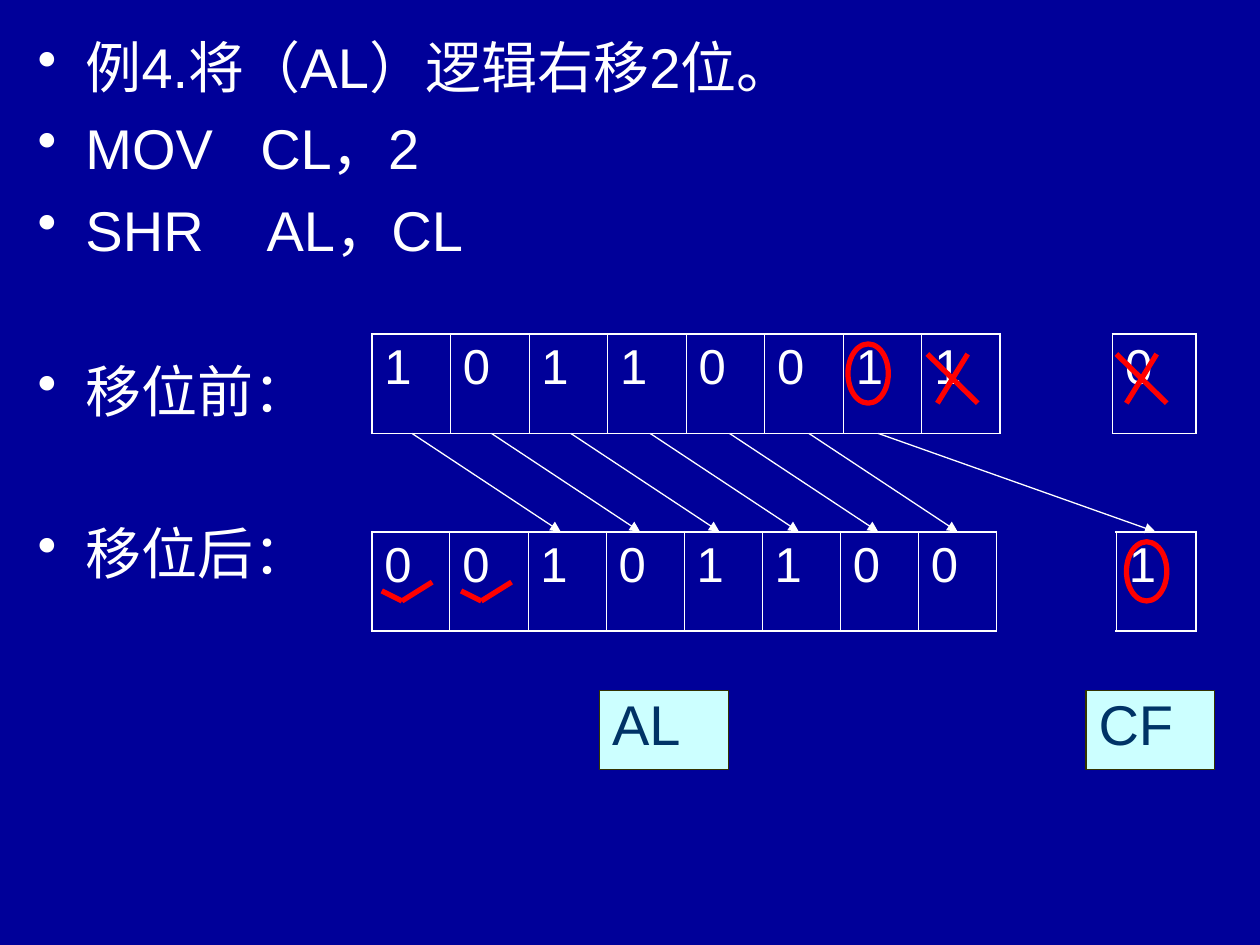
from pptx import Presentation
from pptx.dml.color import RGBColor
from pptx.enum.shapes import MSO_CONNECTOR as Connector, MSO_SHAPE as Shape
from pptx.enum.text import MSO_ANCHOR as Anchor, PP_ALIGN as Align
from pptx.oxml.ns import qn
from pptx.util import Inches, Pt
from lxml.etree import SubElement, Element

NAVY = RGBColor(0x00, 0x00, 0x99)
WHITE = RGBColor(0xFF, 0xFF, 0xFF)
RED = RGBColor(0xFF, 0x00, 0x00)
PALE_CYAN = RGBColor(0xCC, 0xFF, 0xFF)
OLIVE = RGBColor(0x33, 0x33, 0x00)
DARK_BLUE = RGBColor(0x00, 0x33, 0x66)

REGISTER_LEFT = 2.95
BEFORE_TOP, AFTER_TOP = 2.65, 4.22
REGISTER_HEIGHT = 0.79
BIT_STEP = 0.63
THICK, THIN = 1.08, 0.45


def write(paragraph, text, size=32, color=WHITE, before=0, line=None, gap=None):
    paragraph.alignment = Align.LEFT
    paragraph.space_before = Pt(before)
    if line:
        paragraph.line_spacing = line
    run = paragraph.add_run()
    run.text = text
    run.font.name = "Arial"
    run.font.size = Pt(size)
    run.font.color.rgb = color
    if gap:
        run.font._element.set("spc", str(gap * 100))


def add_bullet(paragraph):
    properties = paragraph._p.get_or_add_pPr()
    properties.set("marL", str(Inches(0.38)))
    properties.set("indent", str(Inches(-0.38)))
    SubElement(properties, qn("a:buChar"), char="•")


def add_example(slide):
    frame = slide.shapes.add_textbox(
        Inches(0.2), Inches(0.21), Inches(9.61), Inches(7.09)).text_frame
    frame.word_wrap = True
    lines = [
        (8, [("例4.将（AL）逻辑右移2位。", None)]),
        (8, [("MOV", None), (" ", 18), ("CL，2", None)]),
        (8, [("SHR", None), (" ", 27), ("AL，CL", None)]),
        (54, [("移位前：", None)]),
        (54, [("移位后：", None)]),
    ]
    for index, (before, pieces) in enumerate(lines):
        paragraph = frame.paragraphs[0] if index == 0 else frame.add_paragraph()
        for text, gap in pieces:
            write(paragraph, text, before=before, gap=gap)
        add_bullet(paragraph)


def set_borders(cell, widths):
    properties = cell._tc.get_or_add_tcPr()
    for position, (side, width) in enumerate(widths.items()):
        border = Element(qn(f"a:ln{side}"), w=str(Pt(width)))
        paint = SubElement(border, qn("a:solidFill"))
        SubElement(paint, qn("a:srgbClr"), val=str(WHITE))
        properties.insert(position, border)


def add_register(slide, bits, left, top, width):
    last = len(bits) - 1
    table = slide.shapes.add_table(
        1, len(bits), Inches(left), Inches(top),
        Inches(width), Inches(REGISTER_HEIGHT)).table
    table.first_row = False
    table.horz_banding = False
    for index, bit in enumerate(bits):
        cell = table.cell(0, index)
        cell.fill.background()
        write(cell.text_frame.paragraphs[0], bit, size=28, before=7)
        set_borders(cell, {
            "L": THICK if index == 0 else THIN,
            "R": THICK if index == last else THIN,
            "T": THICK,
            "B": THICK,
        })


def add_label(slide, name, left):
    label = slide.shapes.add_shape(
        Shape.RECTANGLE, Inches(left), Inches(5.48), Inches(1.02), Inches(0.63))
    label.shadow.inherit = False
    label.fill.solid()
    label.fill.fore_color.rgb = PALE_CYAN
    label.line.color.rgb = OLIVE
    label.line.width = Pt(0.75)
    label.text_frame.word_wrap = True
    label.text_frame.vertical_anchor = Anchor.TOP
    write(label.text_frame.paragraphs[0], name, color=DARK_BLUE, line=0.9)


def add_line(slide, start, end, color=RED, width=3, arrow=False):
    line = slide.shapes.add_connector(
        Connector.STRAIGHT, *(Inches(value) for value in (*start, *end)))
    line.line.color.rgb = color
    line.line.width = Pt(width)
    if arrow:
        SubElement(line.line._get_or_add_ln(), qn("a:tailEnd"), type="triangle")
    SubElement(line._element.spPr, qn("a:effectLst"))


def add_shift_arrow(slide, start_x, end_x):
    add_line(slide, (start_x, BEFORE_TOP + REGISTER_HEIGHT), (end_x, AFTER_TOP),
             color=WHITE, width=0.75, arrow=True)


def add_cross(slide, left):
    top, bottom = 2.81, 3.2
    add_line(slide, (left, top), (left + 0.4, bottom))
    add_line(slide, (left + 0.32, top), (left + 0.08, bottom))


def add_tick(slide, left):
    corner = (left + 0.16, 4.77)
    add_line(slide, (left, 4.69), corner)
    add_line(slide, corner, (left + 0.4, 4.62))


def add_ring(slide, left, top):
    ring = slide.shapes.add_shape(
        Shape.OVAL, Inches(left), Inches(top), Inches(0.32), Inches(0.47))
    ring.shadow.inherit = False
    ring.fill.background()
    ring.line.color.rgb = RED
    ring.line.width = Pt(3)


def main():
    deck = Presentation()
    deck.slide_width, deck.slide_height = Inches(10), Inches(7.5)
    slide = deck.slides.add_slide(deck.slide_layouts[6])
    slide.background.fill.solid()
    slide.background.fill.fore_color.rgb = NAVY

    add_example(slide)
    add_register(slide, "10110011", REGISTER_LEFT, BEFORE_TOP, 4.99)
    add_register(slide, "0", 8.83, BEFORE_TOP, 0.66)
    add_label(slide, "CF", 8.62)
    add_label(slide, "AL", 4.76)
    add_register(slide, "1", 8.86, AFTER_TOP, 0.63)
    add_register(slide, "00101100", REGISTER_LEFT, AFTER_TOP, 4.96)

    add_shift_arrow(slide, 6.97, 9.17)
    for bit in range(6):
        start_x = 3.27 + bit * BIT_STEP
        add_shift_arrow(slide, start_x, start_x + 1.18)
    for left in (7.36, 8.86):
        add_cross(slide, left)
    for left in (3.03, 3.03 + BIT_STEP):
        add_tick(slide, left)
    add_ring(slide, 6.73, 2.73)
    add_ring(slide, 8.94, 4.3)

    deck.save("out.pptx")


if __name__ == "__main__":
    main()
